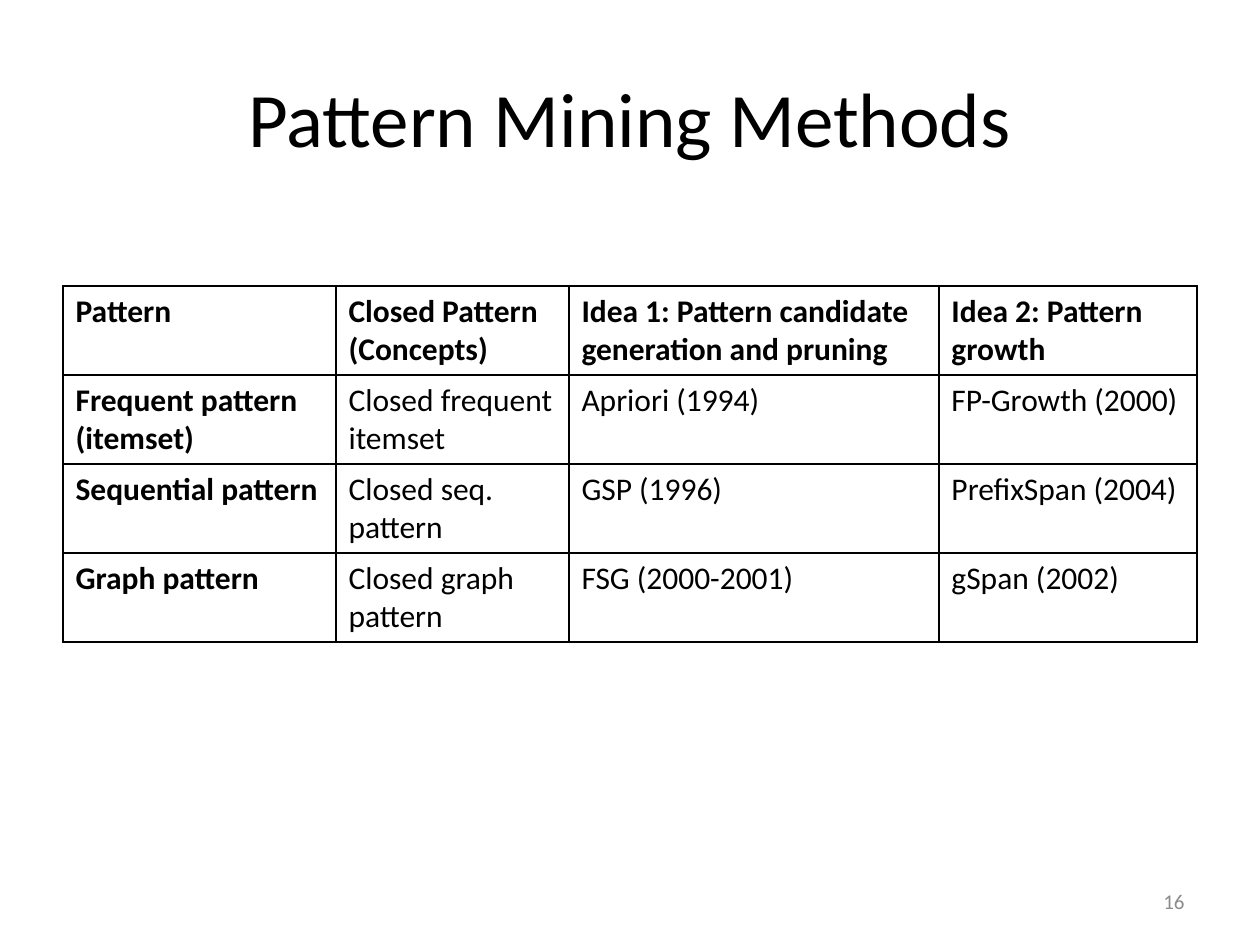
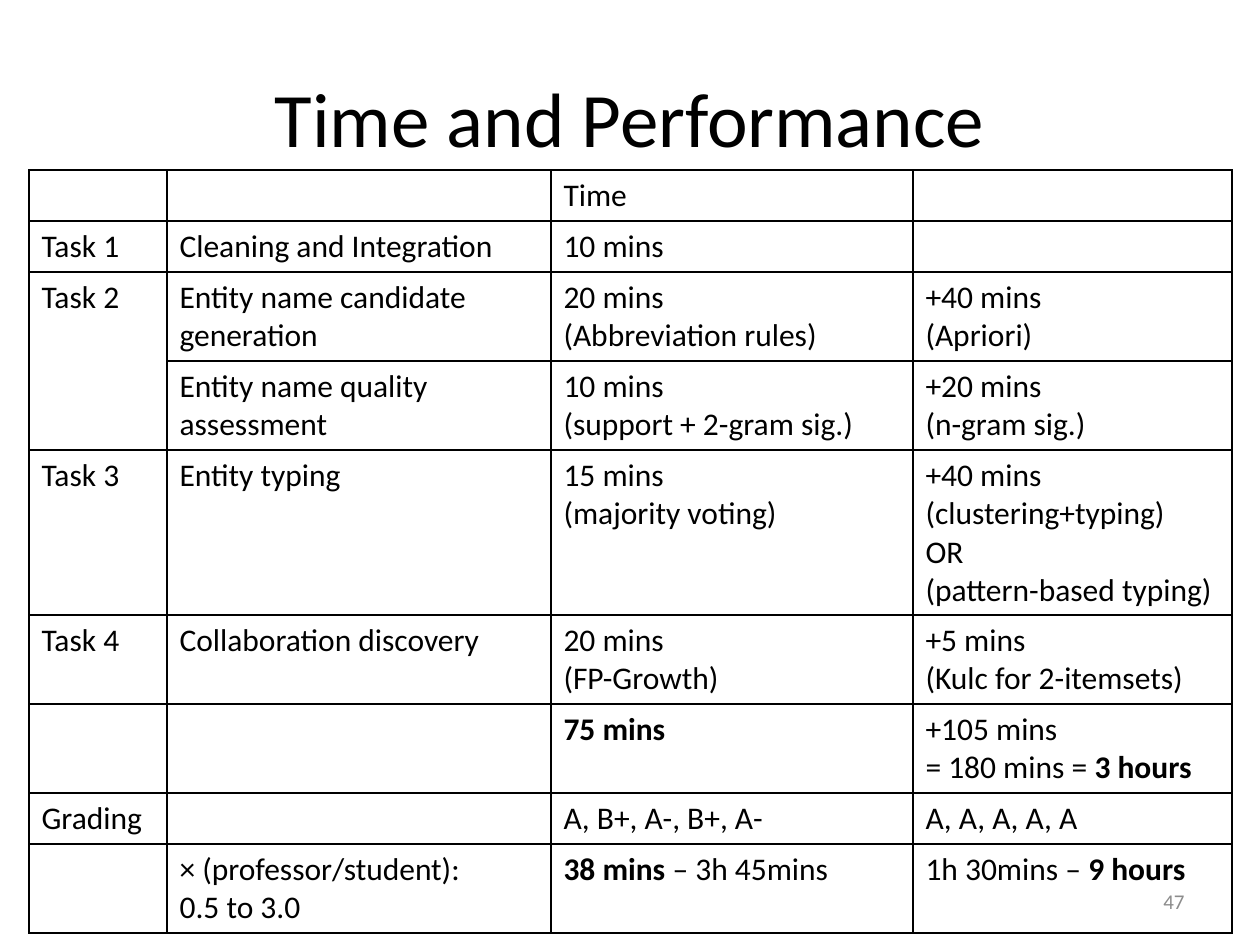
"""Build two table slides on pattern mining methods and on time and performance."""
from dataclasses import dataclass

import lxml.etree
import pptx
import pptx.dml.color
import pptx.enum.text
import pptx.oxml.ns
import pptx.util

EMU_PER_PX = 914400 / 126
TITLE_ONLY = 5
LINE_HEIGHT = 38
CELL_PADDING = 13


@dataclass(frozen=True)
class Theme:
    """Colours, font and type sizes shared by the slides."""
    font: str = "Calibri"
    ink: str = "000000"
    muted: str = "8C8C8C"
    title_size: int = 44
    table_size: int = 18
    number_size: int = 12
    border_width: int = 1


@dataclass(frozen=True)
class Box:
    """A rectangle in px."""
    left: int
    top: int
    width: int
    height: int


@dataclass(frozen=True)
class Grid:
    """A bordered table, whose text marks bold parts with double asterisks."""
    left: int
    top: int
    columns: tuple[int, ...]
    line_counts: tuple[int, ...]
    rows: tuple[tuple[str, ...], ...]
    bold_headers: bool = False
    merges: tuple[tuple[int, int, int, int], ...] = ()


@dataclass(frozen=True)
class Page:
    """The content of one slide."""
    title: str
    number: str
    grid: Grid


THEME = Theme()
TITLE_BOX = Box(63, 38, 1134, 158)
NUMBER_BOX = Box(903, 876, 294, 50)

METHODS = Grid(
    left=63, top=286,
    columns=(273, 233, 370, 258),
    line_counts=(2, 2, 2, 2),
    bold_headers=True,
    rows=(
        ("Pattern", "Closed Pattern (Concepts)",
         "Idea 1: Pattern candidate generation and pruning", "Idea 2: Pattern growth"),
        ("Frequent pattern (itemset)", "Closed frequent itemset",
         "Apriori (1994)", "FP-Growth (2000)"),
        ("Sequential pattern", "Closed seq. pattern", "GSP (1996)", "PrefixSpan (2004)"),
        ("Graph pattern", "Closed graph pattern", "FSG (2000-2001)", "gSpan (2002)"),
    ),
)

PERFORMANCE = Grid(
    left=29, top=170,
    columns=(138, 384, 362, 319),
    line_counts=(1, 1, 2, 2, 4, 2, 2, 1, 2),
    merges=((2, 0, 3, 0),),
    rows=(
        ("", "", "Time", ""),
        ("Task 1", "Cleaning and Integration", "10 mins", ""),
        ("Task 2", "Entity name candidate generation",
         "20 mins\n(Abbreviation rules)", "+40 mins\n(Apriori)"),
        ("", "Entity name quality assessment",
         "10 mins\n(support + 2-gram sig.)", "+20 mins\n(n-gram sig.)"),
        ("Task 3", "Entity typing", "15 mins\n(majority voting)",
         "+40 mins\n(clustering+typing)\nOR\n(pattern-based typing)"),
        ("Task 4", "Collaboration discovery", "20 mins\n(FP-Growth)",
         "+5 mins\n(Kulc for 2-itemsets)"),
        ("", "", "**75 mins**", "+105 mins\n= 180 mins = **3 hours**"),
        ("Grading", "", "A, B+, A-, B+, A-", "A, A, A, A, A"),
        ("", "× (professor/student):\n0.5 to 3.0",
         "**38 mins** – 3h 45mins", "1h 30mins – **9 hours**"),
    ),
)

PAGES = (
    Page("Pattern Mining Methods", "16", METHODS),
    Page("Time and Performance", "47", PERFORMANCE),
)


def px(length: int) -> pptx.util.Emu:
    """Turn px into EMU."""
    return pptx.util.Emu(round(length * EMU_PER_PX))


def write_text(frame, text: str, *, size: int, color: str = THEME.ink, bold: bool = False,
               align=pptx.enum.text.PP_ALIGN.LEFT, anchor=pptx.enum.text.MSO_ANCHOR.MIDDLE) -> None:
    """Fill a text frame, one paragraph per line of text."""
    frame.word_wrap = True
    frame.vertical_anchor = anchor
    for index, line in enumerate(text.split("\n")):
        paragraph = frame.add_paragraph() if index else frame.paragraphs[0]
        paragraph.alignment = align
        for position, part in enumerate(line.split("**")):
            if part:
                run = paragraph.add_run()
                run.text = part
                run.font.name = THEME.font
                run.font.size = pptx.util.Pt(size)
                run.font.bold = bold or position % 2 == 1
                run.font.color.rgb = pptx.dml.color.RGBColor.from_string(color)


def add_borders(cell) -> None:
    """Draw a solid line on each side of a table cell."""
    qn = pptx.oxml.ns.qn
    properties = cell._tc.get_or_add_tcPr()
    for side in ("a:lnL", "a:lnR", "a:lnT", "a:lnB"):
        border = lxml.etree.SubElement(
            properties, qn(side), w=str(pptx.util.Pt(THEME.border_width)))
        fill = lxml.etree.SubElement(border, qn("a:solidFill"))
        lxml.etree.SubElement(fill, qn("a:srgbClr"), val=THEME.ink)


def draw_grid(slide, grid: Grid) -> None:
    """Add a table with plain cells and thin borders."""
    heights = [count * LINE_HEIGHT + CELL_PADDING for count in grid.line_counts]
    table = slide.shapes.add_table(
        len(heights), len(grid.columns), px(grid.left), px(grid.top),
        px(sum(grid.columns)), px(sum(heights))).table
    table.horz_banding = False
    table.first_row = False
    for column, width in zip(table.columns, grid.columns):
        column.width = px(width)
    for row, height in zip(table.rows, heights):
        row.height = px(height)
    for row_index, texts in enumerate(grid.rows):
        for column_index, text in enumerate(texts):
            cell = table.cell(row_index, column_index)
            is_header = row_index == 0 or column_index == 0
            add_borders(cell)
            cell.fill.background()
            cell.vertical_anchor = pptx.enum.text.MSO_ANCHOR.TOP
            write_text(cell.text_frame, text, size=THEME.table_size, anchor=None,
                       bold=grid.bold_headers and is_header)
    for top, left, bottom, right in grid.merges:
        table.cell(top, left).merge(table.cell(bottom, right))


def draw_page(deck, page: Page) -> None:
    """Add a slide with its title, number and table."""
    slide = deck.slides.add_slide(deck.slide_layouts[TITLE_ONLY])
    title = slide.shapes.title
    title.left, title.top = px(TITLE_BOX.left), px(TITLE_BOX.top)
    title.width, title.height = px(TITLE_BOX.width), px(TITLE_BOX.height)
    write_text(title.text_frame, page.title, size=THEME.title_size,
               align=pptx.enum.text.PP_ALIGN.CENTER)
    number = slide.shapes.add_textbox(
        px(NUMBER_BOX.left), px(NUMBER_BOX.top), px(NUMBER_BOX.width), px(NUMBER_BOX.height))
    write_text(number.text_frame, page.number, size=THEME.number_size, color=THEME.muted,
               align=pptx.enum.text.PP_ALIGN.RIGHT)
    draw_grid(slide, page.grid)


def main() -> None:
    """Build and save the presentation."""
    deck = pptx.Presentation()
    deck.slide_width, deck.slide_height = px(1260), px(945)
    for page in PAGES:
        draw_page(deck, page)
    deck.save("out.pptx")


if __name__ == "__main__":
    main()
